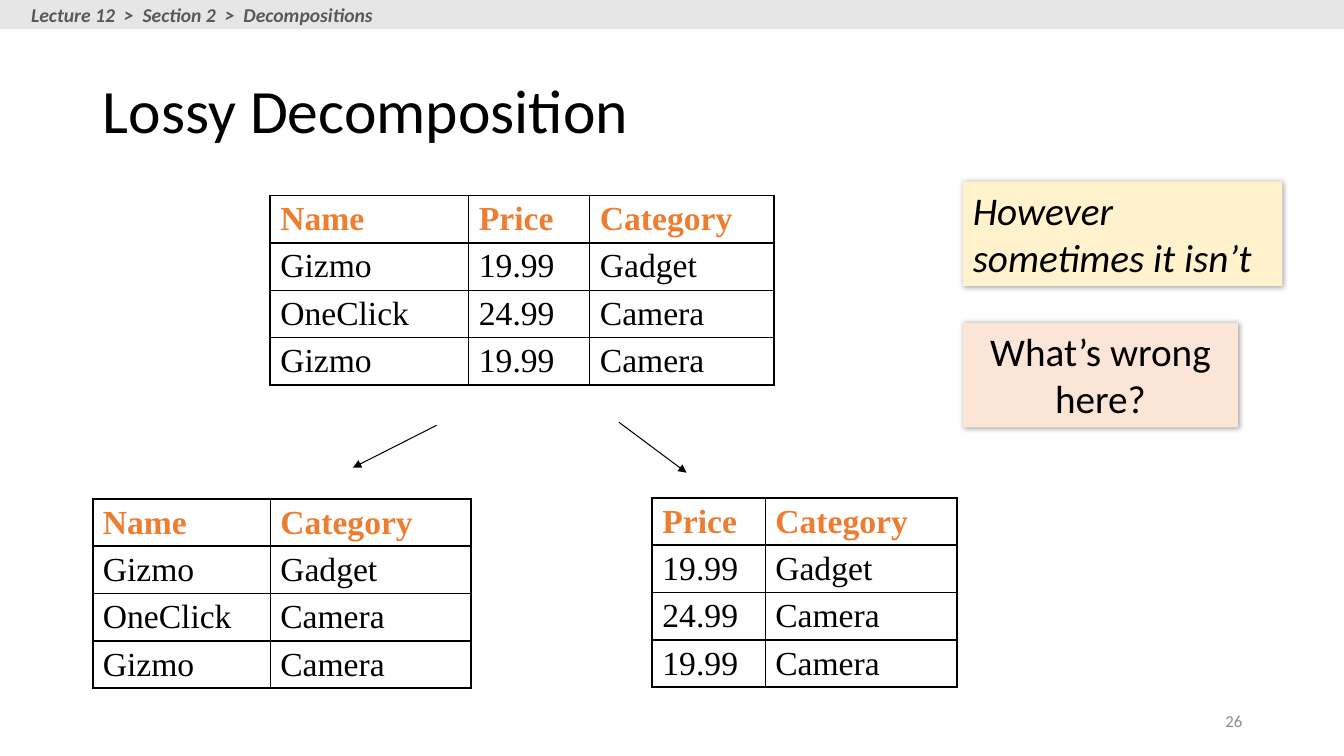
from lxml.etree import SubElement
from pptx import Presentation
from pptx.dml.color import RGBColor
from pptx.enum.shapes import MSO_CONNECTOR, MSO_SHAPE
from pptx.enum.text import MSO_ANCHOR, MSO_AUTO_SIZE, PP_ALIGN
from pptx.oxml import parse_xml
from pptx.oxml.ns import nsdecls, qn
from pptx.util import Inches, Pt

COLORS = {
    "black": "000000", "orange": "ED7D31", "gray": "8C8C8C", "dark": "595959",
    "bar": "E7E6E6", "peach": "FBE5D6", "cream": "FFF2CC",
}


def write(tf, text, size, color="black", font="Calibri", bold=False, italic=False,
          align=PP_ALIGN.LEFT, anchor=MSO_ANCHOR.TOP, wrap=True):
    tf.auto_size = MSO_AUTO_SIZE.NONE
    tf.word_wrap = wrap
    tf.vertical_anchor = anchor
    p = tf.paragraphs[0]
    p.alignment = align
    r = p.add_run()
    r.text = text
    r.font.name = font
    r.font.size = Pt(size)
    r.font.bold = bold
    r.font.italic = italic
    r.font.color.rgb = RGBColor.from_string(COLORS[color])
    return p


def add_box(left, top, width, height, color):
    sp = s.shapes.add_shape(MSO_SHAPE.RECTANGLE, Inches(left), Inches(top),
                            Inches(width), Inches(height))
    sp.shadow.inherit = False
    sp.fill.solid()
    sp.fill.fore_color.rgb = RGBColor.from_string(COLORS[color])
    sp.line.fill.background()
    return sp


prs = Presentation()
prs.slide_width = Inches(13.33)
prs.slide_height = Inches(7.5)
s = prs.slides.add_slide(prs.slide_layouts[5])

title = s.shapes.title
title.left, title.top = Inches(0.92), Inches(0.4)
title.width, title.height = Inches(11.5), Inches(1.45)
p = write(title.text_frame, "Lossy Decomposition", 44, anchor=MSO_ANCHOR.MIDDLE)
p.line_spacing = 0.9

products = [
    {"Name": "Gizmo", "Price": "19.99", "Category": "Gadget"},
    {"Name": "OneClick", "Price": "24.99", "Category": "Camera"},
    {"Name": "Gizmo", "Price": "19.99", "Category": "Camera"},
]
tables = [
    (2.68, 1.94, {"Name": 1.97, "Price": 1.2, "Category": 1.83}),
    (0.92, 4.95, {"Name": 1.76, "Category": 1.99}),
    (6.47, 4.94, {"Price": 1.12, "Category": 1.9}),
]
row_height = 0.47
for left, top, columns in tables:
    rows = [list(columns)] + [[item[name] for name in columns] for item in products]
    last_row, last_col = len(rows) - 1, len(columns) - 1
    frame = s.shapes.add_table(len(rows), len(columns), Inches(left), Inches(top),
                               Inches(sum(columns.values())),
                               Inches(row_height * len(rows)))
    table = frame.table
    table.first_row = False
    table.horz_banding = False
    for column, width in zip(table.columns, columns.values()):
        column.width = Inches(width)
    for i, row in enumerate(rows):
        table.rows[i].height = Inches(row_height)
        for j, value in enumerate(row):
            cell = table.cell(i, j)
            cell.margin_top = cell.margin_bottom = Inches(0.04)
            cell.vertical_anchor = MSO_ANCHOR.MIDDLE
            write(cell.text_frame, value, 24, "black" if i else "orange",
                  "Times New Roman", bold=i == 0, anchor=None)
            thick_sides = {"lnL": j == 0, "lnR": j == last_col,
                           "lnT": i <= 1, "lnB": i in (0, last_row)}
            tcPr = cell._tc.get_or_add_tcPr()
            for side, thick in thick_sides.items():
                ln = SubElement(tcPr, qn(f"a:{side}"), w=str(Pt(1.5 if thick else 1)))
                fill = SubElement(ln, qn("a:solidFill"))
                SubElement(fill, qn("a:srgbClr"), val=COLORS["black"])
            cell.fill.background()

for x1, y1, x2, y2 in [(4.33, 4.22, 3.5, 4.64), (6.14, 4.19, 6.81, 4.69)]:
    arrow = s.shapes.add_connector(MSO_CONNECTOR.STRAIGHT, Inches(x1), Inches(y1),
                                   Inches(x2), Inches(y2))
    arrow.line.width = Pt(0.75)
    arrow.line.color.rgb = RGBColor.from_string(COLORS["black"])
    SubElement(arrow.line._get_or_add_ln(), qn("a:tailEnd"), type="triangle")
    SubElement(arrow._element.spPr, qn("a:effectLst"))

notes = [
    ("What’s wrong here?", 3.2, 2.73, "peach", PP_ALIGN.CENTER, False),
    ("However sometimes it isn’t", 1.8, 3.17, "cream", PP_ALIGN.LEFT, True),
]
for text, top, width, color, align, italic in notes:
    sp = add_box(9.55, top, width, 1.04, color)
    write(sp.text_frame, text, 28, italic=italic, align=align)
    effects = sp._element.spPr.find(qn("a:effectLst"))
    effects.append(parse_xml(
        f'<a:outerShdw {nsdecls("a")} blurRad="{Pt(4)}" dist="{Pt(1)}" dir="2700000"'
        f' algn="tl" rotWithShape="0"><a:srgbClr val="{COLORS["black"]}">'
        '<a:alpha val="40000"/></a:srgbClr></a:outerShdw>'))

add_box(0, 0, 13.33, 0.29, "bar")
sp = s.shapes.add_textbox(Inches(0.21), Inches(-0.02), Inches(3.64), Inches(0.34))
write(sp.text_frame, "Lecture 12  >  Section 2  >  Decompositions", 14, "dark",
      bold=True, italic=True, wrap=False)

sp = s.shapes.add_textbox(Inches(9.42), Inches(6.95), Inches(3), Inches(0.4))
write(sp.text_frame, "26", 12, "gray", align=PP_ALIGN.RIGHT, anchor=MSO_ANCHOR.MIDDLE)

prs.save("out.pptx")
